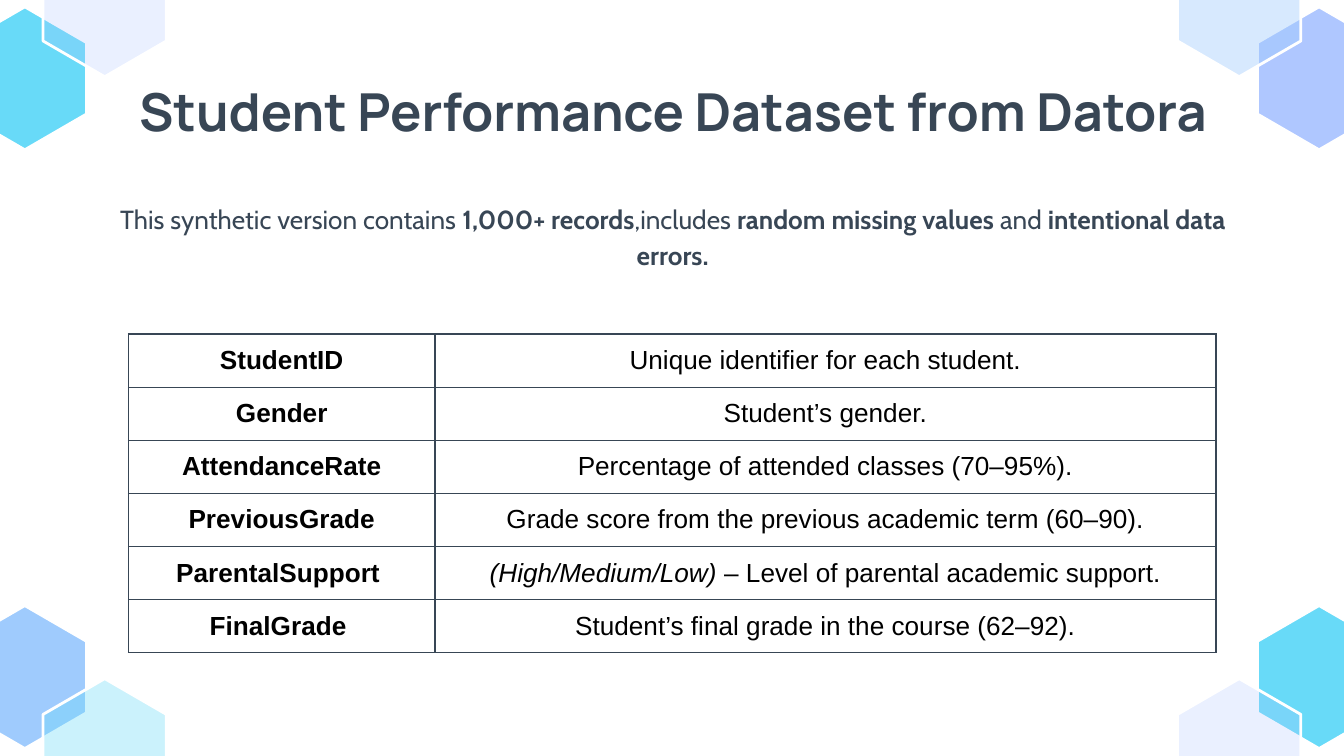
"""Build the student performance dataset slide with its column description table."""
import lxml.etree
import pptx
import pptx.dml.color
import pptx.enum.text
import pptx.oxml
import pptx.oxml.ns
import pptx.util

Cm = pptx.util.Cm
Pt = pptx.util.Pt
qn = pptx.oxml.ns.qn
COLORS = {
    "ink": "384655",
    "black": "000000",
    "white": "FFFFFF",
    "cyan": "68DAF8",
    "blue": "9FCBFD",
    "lavender": "AFC7FF",
}


def write_run(text, *, paragraph, font, size, color, bold=False, italic=False):
    paragraph.alignment = pptx.enum.text.PP_ALIGN.CENTER
    run = paragraph.add_run()
    run.text = text
    run.font.name = font
    run.font.size = Pt(size)
    run.font.bold = bold
    run.font.italic = italic
    run.font.color.rgb = pptx.dml.color.RGBColor.from_string(COLORS[color])


presentation = pptx.Presentation()
presentation.slide_width = Cm(25.4)
presentation.slide_height = Cm(14.28)
slide = presentation.slides.add_slide(presentation.slide_layouts[6])

hexagon_width, hexagon_height = 2.33, 2.7
mirror_width, mirror_height = 25.4, 14.27
outer_center, inner_center = (0.47, 1.48), (1.98, 0.1)
corners = [
    (False, True, ("blue", 100), ("cyan", 34)),
    (True, True, ("cyan", 100), ("lavender", 25)),
    (False, False, ("cyan", 100), ("lavender", 25)),
    (True, False, ("lavender", 100), ("blue", 41)),
]
for at_right, at_bottom, outer_fill, inner_fill in corners:
    for (x, y), (color, opacity) in ((outer_center, outer_fill), (inner_center, inner_fill)):
        x = mirror_width - x if at_right else x
        y = mirror_height - y if at_bottom else y
        left, right = x - hexagon_width / 2, x + hexagon_width / 2
        top, bottom = y - hexagon_height / 2, y + hexagon_height / 2
        upper, lower = y - hexagon_height / 4, y + hexagon_height / 4
        builder = slide.shapes.build_freeform(Cm(x), Cm(top))
        points = [(left, upper), (left, lower), (x, bottom), (right, lower), (right, upper)]
        builder.add_line_segments([(Cm(a), Cm(b)) for a, b in points], close=True)
        hexagon = builder.convert_to_shape()
        hexagon.shadow.inherit = False
        hexagon.fill.solid()
        hexagon.fill.fore_color.rgb = pptx.dml.color.RGBColor.from_string(COLORS[color])
        hexagon.line.color.rgb = pptx.dml.color.RGBColor.from_string(COLORS["white"])
        hexagon.line.width = Pt(1.5)
        if opacity < 100:
            fill_color = hexagon._element.spPr.find(qn("a:solidFill"))[0]
            lxml.etree.SubElement(fill_color, qn("a:alpha"), val=str(opacity * 1000))

title_style = {"font": "Manrope", "size": 28, "color": "ink"}
body_style = {"font": "Cabin", "size": 14, "color": "ink"}
texts = [
    (1.25, 1.6, 1, title_style, [("Student Performance Dataset from Datora", True)]),
    (3.5, 2.08, 1.15, body_style, [
        ("This synthetic version contains ", False),
        ("1,000+ records", True),
        (",includes ", False),
        ("random missing values", True),
        (" and ", False),
        ("intentional data errors.", True),
    ]),
]
for top, height, spacing, style, runs in texts:
    box = slide.shapes.add_textbox(Cm(2.01), Cm(top), Cm(21.41), Cm(height))
    frame = box.text_frame
    frame.word_wrap = True
    frame.vertical_anchor = pptx.enum.text.MSO_ANCHOR.TOP
    frame.margin_left = frame.margin_right = Cm(0.25)
    frame.margin_top = frame.margin_bottom = Cm(0.25)
    paragraph = frame.paragraphs[0]
    paragraph.line_spacing = spacing
    for text, bold in runs:
        write_run(text, paragraph=paragraph, bold=bold, **style)

columns = [
    ("StudentID", "", "Unique identifier for each student."),
    ("Gender", "", "Student’s gender."),
    ("AttendanceRate", "", "Percentage of attended classes (70–95%)."),
    ("PreviousGrade", "", "Grade score from the previous academic term (60–90)."),
    ("ParentalSupport ", "(High/Medium/Low)", " – Level of parental academic support."),
    ("FinalGrade ", "", "Student’s final grade in the course (62–92)."),
]
table = slide.shapes.add_table(
    len(columns), 2, Cm(2.43), Cm(6.31), Cm(20.55), Cm(6.02)
).table
table.first_row = table.horz_banding = False
table.columns[0].width = Cm(5.79)
table.columns[1].width = Cm(14.76)
cell_style = {"font": "Arial", "size": 14, "color": "black"}
for row, (name, levels, meaning) in zip(table.rows, columns):
    name_cell, meaning_cell = row.cells
    write_run(name, paragraph=name_cell.text_frame.paragraphs[0], bold=True, **cell_style)
    paragraph = meaning_cell.text_frame.paragraphs[0]
    if levels:
        write_run(levels, paragraph=paragraph, italic=True, **cell_style)
    write_run(meaning, paragraph=paragraph, **cell_style)
    for cell in (name_cell, meaning_cell):
        cell.vertical_anchor = pptx.enum.text.MSO_ANCHOR.MIDDLE
        cell.margin_left = cell.margin_right = Cm(0.25)
        cell.margin_top = cell.margin_bottom = 0
        properties = cell._tc.get_or_add_tcPr()
        for side in ("a:lnL", "a:lnR", "a:lnT", "a:lnB"):
            border = lxml.etree.SubElement(properties, qn(side), w=str(Pt(0.75)))
            border_fill = lxml.etree.SubElement(border, qn("a:solidFill"))
            lxml.etree.SubElement(border_fill, qn("a:srgbClr"), val=COLORS["ink"])
        cell.fill.background()

presentation.save("out.pptx")
